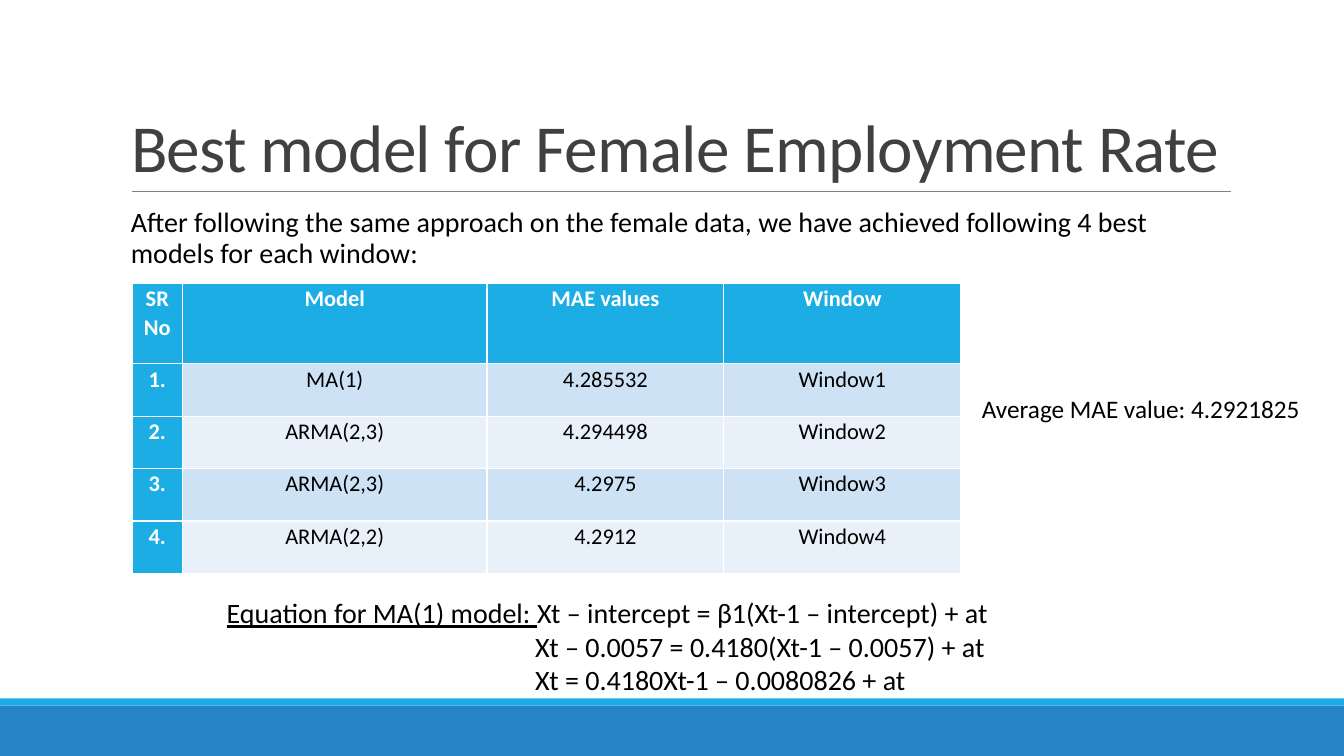
from dataclasses import dataclass

from lxml.etree import SubElement
from pptx import Presentation
from pptx.dml.color import RGBColor
from pptx.enum.shapes import MSO_CONNECTOR, MSO_SHAPE
from pptx.enum.text import MSO_ANCHOR, PP_ALIGN
from pptx.oxml.ns import qn
from pptx.util import Inches, Pt


@dataclass(frozen=True)
class Theme:
    font: str = "Calibri"
    white: str = "FFFFFF"
    text: str = "000000"
    title: str = "404040"
    rule: str = "808080"
    accent: str = "1CADE4"
    footer: str = "2683C6"
    bands: tuple = ("CDE3F5", "E8F1FA")
    title_size: int = 48
    body_size: int = 20
    note_size: int = 18
    table_size: int = 16


class SlideBuilder:
    def __init__(self, prs, theme):
        self.theme = theme
        self.s = prs.slides.add_slide(prs.slide_layouts[5])

    def style(self, p, size, color, bold=False):
        font = p.font
        font.name, font.size, font.bold = self.theme.font, Pt(size), bold
        font.color.rgb = RGBColor.from_string(color)

    def bar(self, x, y, w, h, color):
        sp = self.s.shapes.add_shape(
            MSO_SHAPE.RECTANGLE, Inches(x), Inches(y), Inches(w), Inches(h))
        sp.shadow.inherit = False
        sp.fill.solid()
        sp.fill.fore_color.rgb = RGBColor.from_string(color)
        sp.line.fill.background()

    def rule(self, x1, x2, y):
        line = self.s.shapes.add_connector(
            MSO_CONNECTOR.STRAIGHT, Inches(x1), Inches(y), Inches(x2), Inches(y))
        line.line.color.rgb = RGBColor.from_string(self.theme.rule)
        line.line.width = Pt(0.5)
        SubElement(line._element.spPr, qn("a:effectLst"))

    def title(self, text, x, y, w, h):
        sp = self.s.shapes.title
        sp.left, sp.top, sp.width, sp.height = map(Inches, (x, y, w, h))
        tf = sp.text_frame
        tf.text = text
        tf.vertical_anchor = MSO_ANCHOR.BOTTOM
        p = tf.paragraphs[0]
        p.alignment, p.line_spacing = PP_ALIGN.LEFT, 0.85
        self.style(p, self.theme.title_size, self.theme.title)
        p.runs[0].font._element.set("spc", "-50")

    def text(self, lines, x, y, w, h, size, spacing=1.0, hanging=0, lead=""):
        """Add a text box; an underlined lead opens it and later lines are indented by hanging."""
        sp = self.s.shapes.add_textbox(Inches(x), Inches(y), Inches(w), Inches(h))
        tf = sp.text_frame
        tf.word_wrap = True
        for i, line in enumerate(lines):
            p = tf.add_paragraph() if i else tf.paragraphs[0]
            p.line_spacing = spacing
            self.style(p, size, self.theme.text)
            if i:
                p._p.get_or_add_pPr().set("marL", str(Inches(hanging)))
            elif lead:
                r = p.add_run()
                r.text, r.font.underline = lead, True
            p.add_run().text = line

    def table(self, rows, x, y, widths, heights):
        th = self.theme
        table = self.s.shapes.add_table(
            len(rows), len(widths), Inches(x), Inches(y),
            Inches(sum(widths)), Inches(sum(heights))).table
        table.first_col = True
        for column, width in zip(table.columns, widths):
            column.width = Inches(width)
        for i, (row, height) in enumerate(zip(rows, heights)):
            table.rows[i].height = Inches(height)
            for j, value in enumerate(row):
                heading = i == 0 or j == 0
                cell = table.cell(i, j)
                cell.text = value
                cell.margin_left = cell.margin_right = Inches(0.07)
                cell.margin_top = cell.margin_bottom = 0
                cell.fill.solid()
                cell.fill.fore_color.rgb = RGBColor.from_string(
                    th.accent if heading else th.bands[(i - 1) % 2])
                p = cell.text_frame.paragraphs[0]
                p.alignment, p.line_spacing = PP_ALIGN.CENTER, 1.07
                self.style(p, th.table_size, th.white if heading else th.text, heading)


def main():
    prs = Presentation()
    prs.slide_width, prs.slide_height = Inches(13.33), Inches(7.5)
    th = Theme()
    slide = SlideBuilder(prs, th)

    slide.bar(0, 7, 13.33, 0.5, th.footer)
    slide.bar(0, 6.93, 13.33, 0.07, th.accent)
    slide.rule(1.31, 12.21, 1.9)
    slide.title("Best model for Female Employment Rate", 1.2, 0.31, 11, 1.59)
    slide.text(
        ["After following the same approach on the female data, we have achieved "
         "following 4 best models for each window:"],
        1.2, 2.02, 11, 0.75, th.body_size, spacing=0.9)

    models = [("MA(1)", "4.285532"), ("ARMA(2,3)", "4.294498"),
              ("ARMA(2,3)", "4.2975"), ("ARMA(2,2)", "4.2912")]
    rows = [("SR No", "Model", "MAE values", "Window")]
    rows += [(f"{n}.", model, mae, f"Window{n}")
             for n, (model, mae) in enumerate(models, 1)]
    slide.table(rows, 1.31, 2.81, [0.5, 3.02, 2.35, 2.35],
                [0.8] + [0.52] * len(models))

    slide.text(
        ["Xt – intercept = β1(Xt-1 – intercept) + at",
         "Xt – 0.0057 = 0.4180(Xt-1 – 0.0057) + at",
         "Xt = 0.4180Xt-1 – 0.0080826 + at"],
        2.15, 5.86, 7.84, 1.12, th.body_size, hanging=3.06,
        lead="Equation for MA(1) model: ")
    slide.text(["Average MAE value: 4.2921825"], 9.64, 3.85, 3.39, 0.4, th.note_size)
    prs.save("out.pptx")


if __name__ == "__main__":
    main()
